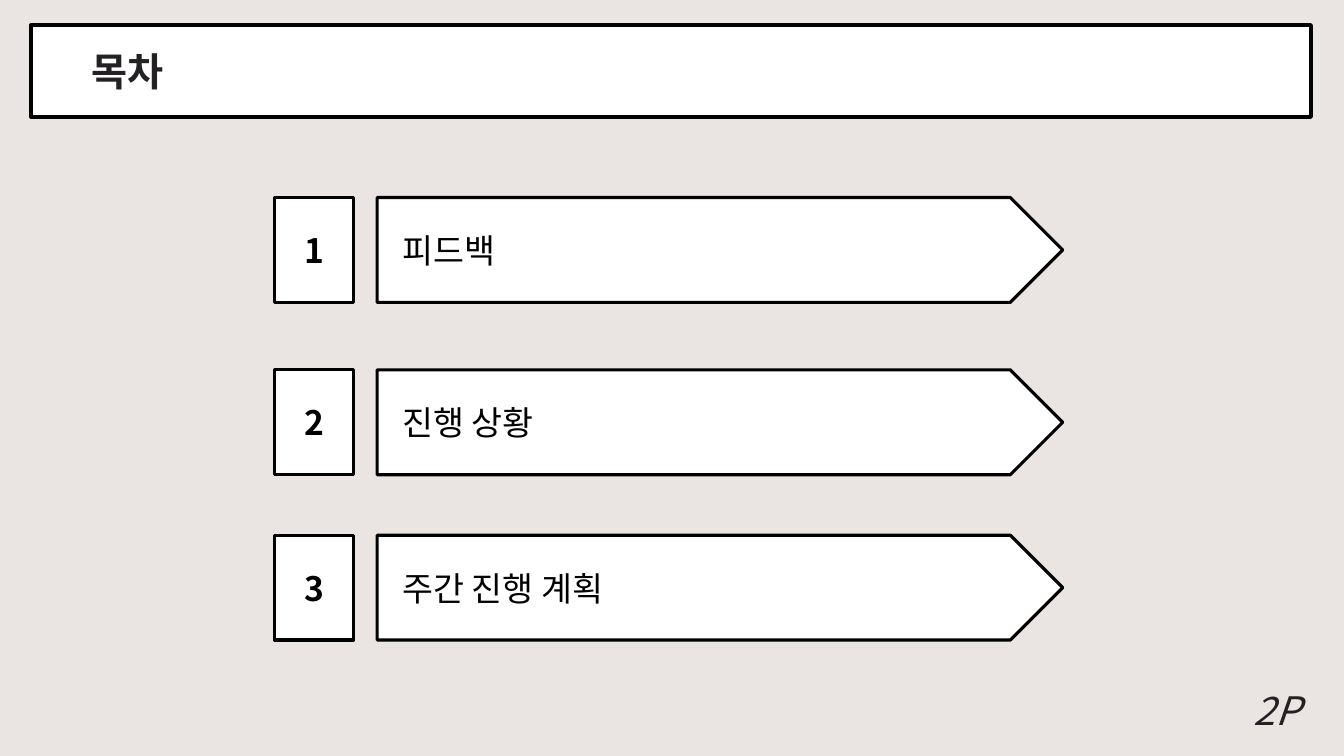
from dataclasses import dataclass

from lxml.etree import SubElement
from pptx import Presentation
from pptx.dml.color import RGBColor
from pptx.enum.shapes import MSO_SHAPE
from pptx.enum.text import MSO_ANCHOR, MSO_AUTO_SIZE, PP_ALIGN
from pptx.oxml.ns import qn
from pptx.util import Inches, Pt

FONT = "Noto Sans CJK KR"
BLACK, INK, WHITE, PAPER = "000000", "232124", "FFFFFF", "EAE5E2"
WIDTH, HEIGHT = Inches(13.33), Inches(7.5)


@dataclass
class Box:
    """Left, top, width and height in percent of the slide."""
    x: float
    y: float
    w: float
    h: float

    def emu(self) -> tuple[int, int, int, int]:
        return (int(WIDTH * self.x / 100), int(HEIGHT * self.y / 100),
                int(WIDTH * self.w / 100), int(HEIGHT * self.h / 100))


@dataclass
class AgendaItem:
    number: str
    title: str
    top: float


def rgb(value: str) -> RGBColor:
    return RGBColor.from_string(value)


def write(sp, text: str, *, size: float = 24, color: str = BLACK,
          bold: bool = False, italic: bool = False,
          align=PP_ALIGN.LEFT, anchor=MSO_ANCHOR.MIDDLE,
          inset: float = 0.1) -> None:
    tf = sp.text_frame
    tf.word_wrap = True
    tf.vertical_anchor = anchor
    tf.margin_left = Inches(inset)
    p = tf.paragraphs[0]
    p.alignment = align
    r = p.add_run()
    r.text = text
    r.font.size = Pt(size)
    r.font.bold = bold
    r.font.italic = italic
    r.font.color.rgb = rgb(color)
    r.font.name = FONT
    # Korean letters take the East Asian font
    SubElement(r.font._element, qn("a:ea")).set("typeface", FONT)


def panel(s, kind: MSO_SHAPE, box: Box, line: float = 2.25):
    sp = s.shapes.add_shape(kind, *box.emu())
    sp.shadow.inherit = False
    sp.fill.solid()
    sp.fill.fore_color.rgb = rgb(WHITE)
    sp.line.color.rgb = rgb(BLACK)
    sp.line.width = Pt(line)
    return sp


def agenda_row(s, item: AgendaItem) -> None:
    square = panel(s, MSO_SHAPE.RECTANGLE, Box(20.41, item.top, 5.93, 13.87))
    write(square, item.number, bold=True, align=PP_ALIGN.CENTER)
    arrow = panel(s, MSO_SHAPE.PENTAGON, Box(28.06, item.top, 51.01, 13.87))
    write(arrow, item.title, inset=0.25)


def main() -> None:
    prs = Presentation()
    prs.slide_width, prs.slide_height = WIDTH, HEIGHT
    s = prs.slides.add_slide(prs.slide_layouts[6])
    s.background.fill.solid()
    s.background.fill.fore_color.rgb = rgb(PAPER)

    # Title bar
    bar = panel(s, MSO_SHAPE.RECTANGLE, Box(2.33, 3.33, 95.2, 12.13), line=3)
    write(bar, "목차", size=28, color=INK, bold=True, inset=0.6)

    # Page number
    page = s.shapes.add_textbox(*Box(91.9, 90.13, 6.23, 7.6).emu())
    write(page, "2P", size=28, color=INK, italic=True,
          align=PP_ALIGN.CENTER, anchor=MSO_ANCHOR.TOP)
    page.text_frame.auto_size = MSO_AUTO_SIZE.SHAPE_TO_FIT_TEXT

    # Agenda
    for item in (AgendaItem("1", "피드백", 26.13),
                 AgendaItem("2", "진행 상황", 48.93),
                 AgendaItem("3", "주간 진행 계획", 70.8)):
        agenda_row(s, item)

    prs.save("out.pptx")


if __name__ == "__main__":
    main()
